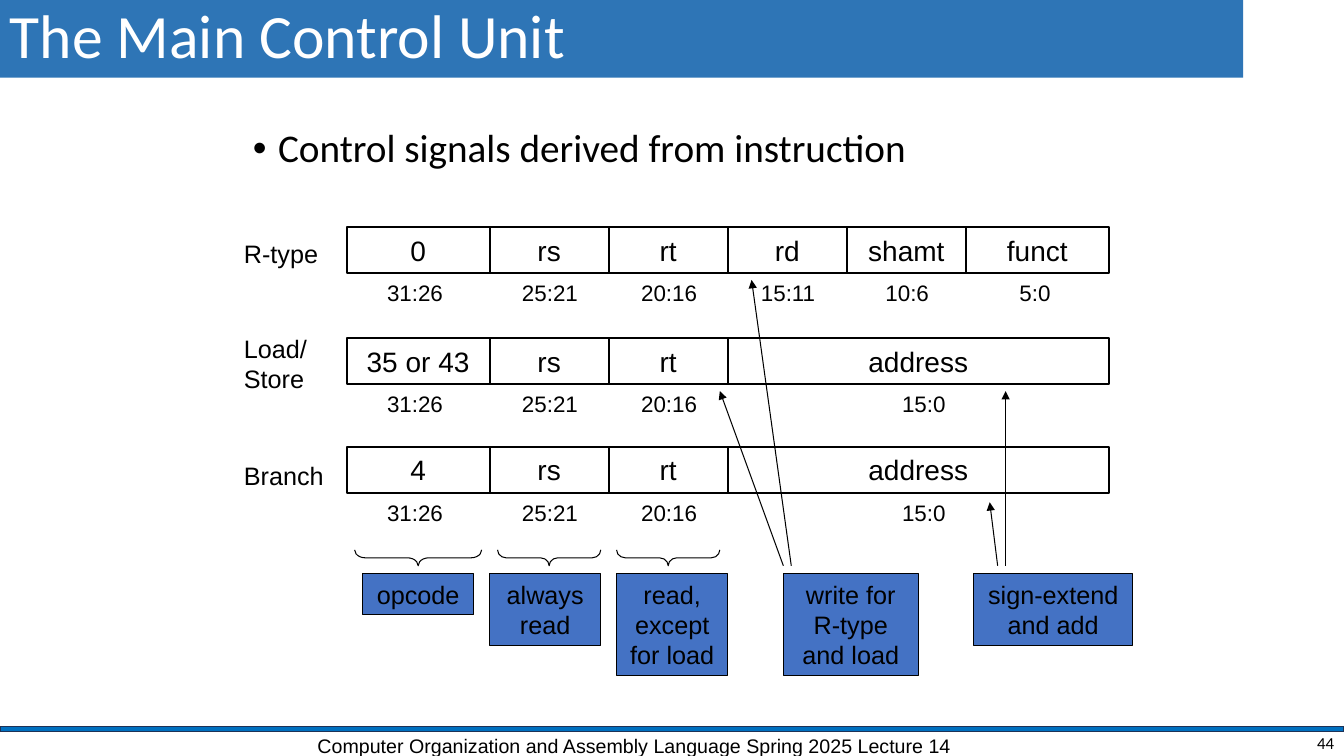
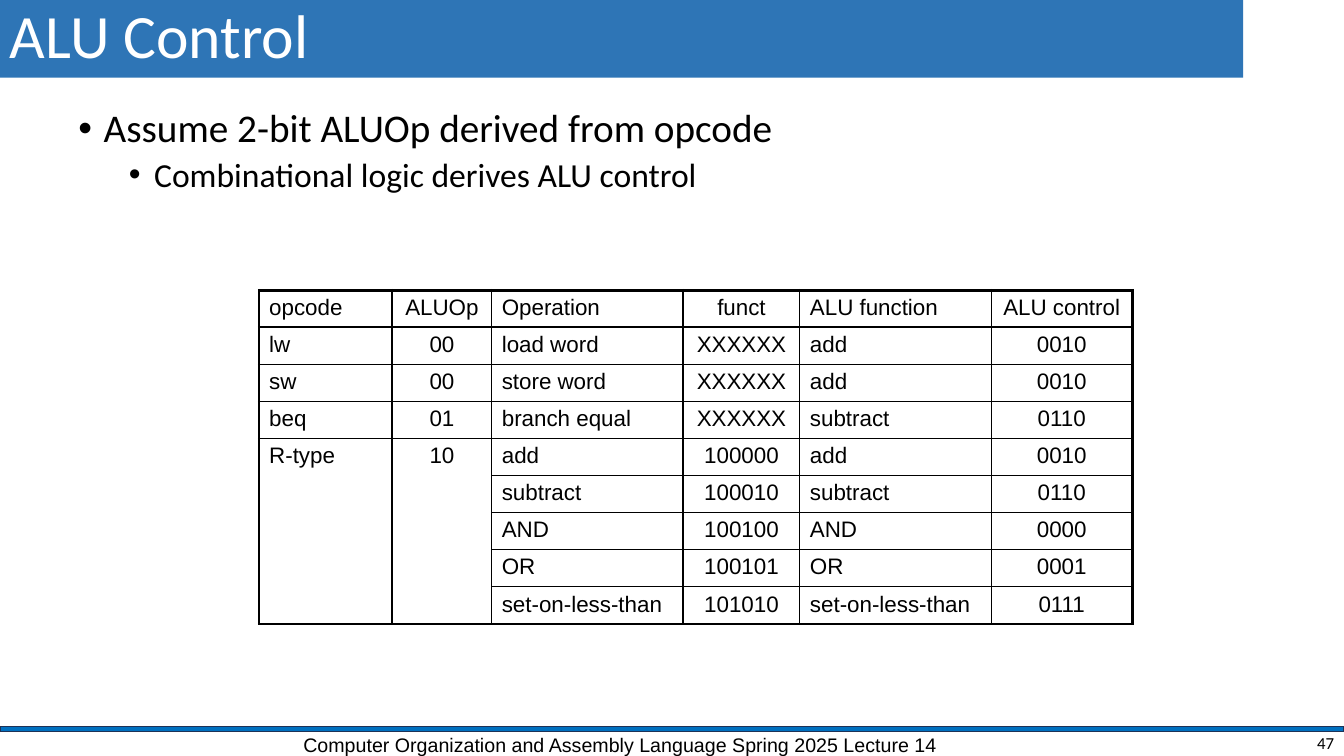
import dataclasses

import lxml.etree
import pptx
import pptx.dml.color
import pptx.enum.shapes
import pptx.enum.text
import pptx.oxml.ns
import pptx.util

Inches = pptx.util.Inches
Pt = pptx.util.Pt
Align = pptx.enum.text.PP_ALIGN
Anchor = pptx.enum.text.MSO_ANCHOR
Preset = pptx.enum.shapes.MSO_SHAPE
qn = pptx.oxml.ns.qn


@dataclasses.dataclass(frozen=True)
class Theme:
    black: str = "000000"
    white: str = "FFFFFF"
    title_band: str = "2E75B6"
    footer_band: str = "0070C0"
    footer_edge: str = "1E3256"
    tag: str = "4472C4"
    heading_font: str = "Calibri"
    label_font: str = "Arial"
    title_size: int = 44
    body_sizes: tuple = (28, 24)
    field_size: int = 20
    label_size: int = 18
    small_size: int = 16
    footer_size: int = 14
    number_size: int = 12
    thin: float = 0.75
    inner: float = 1
    medium: float = 1.5
    outer: float = 2.25


@dataclasses.dataclass(frozen=True)
class Box:
    left: float
    top: float
    width: float
    height: float
    columns: float = 100
    rows: float = 100

    def point(self, column, row):
        return (self.left + self.width * column / self.columns,
                self.top + self.height * row / self.rows)

    def region(self, column, row, across, down, columns=100, rows=100):
        return Box(*self.point(column, row), self.width * across / self.columns,
                   self.height * down / self.rows, columns, rows)

    def emu(self):
        return [Inches(length) for length in (self.left, self.top, self.width, self.height)]


THEME = Theme()
PAGE = Box(0, 0, 13.33, 7.5)
FOOTER = "Computer Organization and Assembly Language Spring 2025 Lecture 14"

FORMATS = [
    ("R-type", 0.8, 0, [("0", 18, "31:26"), ("rs", 15, "25:21"), ("rt", 15, "20:16"),
                        ("rd", 15, "15:11"), ("shamt", 15, "10:6"), ("funct", 18, "5:0")]),
    ("Load/\vStore", 12.8, 14, [("35 or 43", 18, "31:26"), ("rs", 15, "25:21"),
                                ("rt", 15, "20:16"), ("address", 48, "15:0")]),
    ("Branch", 28.8, 27.7, [("4", 18, "31:26"), ("rs", 15, "25:21"),
                            ("rt", 15, "20:16"), ("address", 48, "15:0")]),
]
BIT_SHIFTS = {"31:26": -0.4, "5:0": -0.3, "15:0": 0.7}
BRACES = [(1, 16, 0.67), (19, 13, 0.54), (34, 13, 0.54)]
TAGS = [("opcode", 2, 14, 1), ("always read", 18, 14, 2), ("read, except for load", 34, 14, 3),
        ("write for R-type and load", 55, 17, 3), ("sign-extend and add", 79, 20, 2)]
TAG_TOP = 43.7
ARROW_START = 42.7
ARROWS = [(55, 47, 20.7), (56, 51, 6.7), (82, 81, 34.7), (83, 83, 20.7)]

CONTROL_COLUMNS = [1.32, 0.99, 1.9, 1.16, 1.9, 1.4]
CONTROL_ROWS = [
    ("opcode", "ALUOp", "Operation", "funct", "ALU function", "ALU control"),
    ("lw", "00", "load word", "XXXXXX", "add", "0010"),
    ("sw", "00", "store word", "XXXXXX", "add", "0010"),
    ("beq", "01", "branch equal", "XXXXXX", "subtract", "0110"),
    ("R-type", "10", "add", "100000", "add", "0010"),
    ("", "", "subtract", "100010", "subtract", "0110"),
    ("", "", "AND", "100100", "AND", "0000"),
    ("", "", "OR", "100101", "OR", "0001"),
    ("", "", "set-on-less-than", "101010", "set-on-less-than", "0111"),
]
MERGED_FROM = 4


def rgb(color):
    return pptx.dml.color.RGBColor.from_string(color)


def style_paragraph(paragraph, size, font, color=THEME.black, align=Align.LEFT):
    paragraph.alignment = align
    for run in paragraph.runs:
        run.font.size = Pt(size)
        run.font.name = font
        run.font.color.rgb = rgb(color)


def write(text_frame, text, size, font, color=THEME.black, align=Align.LEFT, anchor=Anchor.TOP):
    text_frame.word_wrap = True
    text_frame.vertical_anchor = anchor
    text_frame.text = text
    for paragraph in text_frame.paragraphs:
        style_paragraph(paragraph, size, font, color, align)


def add_label(slide, box, text, size, font=THEME.label_font, **options):
    write(slide.shapes.add_textbox(*box.emu()).text_frame, text, size, font, **options)


def add_preset(slide, box, preset=Preset.RECTANGLE, fill=None, line=None, weight=THEME.thin):
    shape = slide.shapes.add_shape(preset, *box.emu())
    shape.shadow.inherit = False
    if fill:
        shape.fill.solid()
        shape.fill.fore_color.rgb = rgb(fill)
    else:
        shape.fill.background()
    if line:
        shape.line.color.rgb = rgb(line)
        shape.line.width = Pt(weight)
    else:
        shape.line.fill.background()
    return shape


def add_cell_box(slide, box, text, size, **look):
    shape = add_preset(slide, box, line=THEME.black, **look)
    write(shape.text_frame, text, size, THEME.label_font, align=Align.CENTER, anchor=Anchor.MIDDLE)


def add_arrow(slide, start, end):
    ends = [Inches(length) for length in (*start, *end)]
    arrow = slide.shapes.add_connector(pptx.enum.shapes.MSO_CONNECTOR.STRAIGHT, *ends)
    arrow.line.color.rgb = rgb(THEME.black)
    arrow.line.width = Pt(THEME.thin)
    properties = arrow._element.spPr
    lxml.etree.SubElement(properties.find(qn("a:ln")), qn("a:tailEnd"), type="triangle")
    lxml.etree.SubElement(properties, qn("a:effectLst"))


def add_frame(presentation, title, number, footer_box):
    slide = presentation.slides.add_slide(presentation.slide_layouts[6])
    add_preset(slide, PAGE.region(0, 96.13, 100, 0.67), fill=THEME.footer_band,
               line=THEME.footer_edge, weight=THEME.inner)
    add_label(slide, footer_box, FOOTER, THEME.footer_size)
    band = add_preset(slide, PAGE.region(0, 0, 92.5, 10.27), fill=THEME.title_band)
    write(band.text_frame, title, THEME.title_size, THEME.heading_font, THEME.white,
          anchor=Anchor.MIDDLE)
    band.text_frame.paragraphs[0].line_spacing = 0.9
    add_label(slide, PAGE.region(77.5, 96.53, 22.5, 3.33), number, THEME.number_size,
              THEME.heading_font, align=Align.RIGHT, anchor=Anchor.MIDDLE)
    return slide


def add_bullets(slide, box, lines):
    text_frame = slide.shapes.add_textbox(*box.emu()).text_frame
    text_frame.word_wrap = True
    text_frame.text = "\n".join(lines)
    for level, paragraph in enumerate(text_frame.paragraphs):
        style_paragraph(paragraph, THEME.body_sizes[level], THEME.heading_font)
        paragraph.level = level
        paragraph.line_spacing = 0.9
        paragraph.space_before = Pt(5 if level else 10)
        properties = paragraph._p.get_or_add_pPr()
        properties.set("marL", str(Inches(0.25 + 0.5 * level)))
        properties.set("indent", str(Inches(-0.25)))
        lxml.etree.SubElement(properties, qn("a:buFont"), typeface="Arial")
        lxml.etree.SubElement(properties, qn("a:buChar"), char="•")


def add_format(slide, grid, name, name_row, row, fields):
    add_label(slide, grid.region(-14.2, name_row, 13, 5), name, THEME.label_size)
    column = 0
    for text, across, bits in fields:
        add_cell_box(slide, grid.region(column, row, across, 5.8), text, THEME.field_size,
                     weight=THEME.medium)
        center = column + across / 2 + BIT_SHIFTS.get(bits, 0.1)
        add_label(slide, grid.region(center - 5, row + 6, 10, 4.7), bits, THEME.small_size,
                  align=Align.CENTER)
        column += across


def add_brace(slide, grid, column, across, curve):
    center = column + across / 2
    middle = ARROW_START - 1
    box = grid.region(center - 1, middle - across / 2, 2, across)
    brace = add_preset(slide, box, Preset.LEFT_BRACE, line=THEME.black)
    brace.adjustments[0] = curve
    brace.rotation = 270


def add_instruction_diagram(slide, grid):
    for instruction in FORMATS:
        add_format(slide, grid, *instruction)
    for brace in BRACES:
        add_brace(slide, grid, *brace)
    for text, column, across, lines in TAGS:
        box = grid.region(column, TAG_TOP, across, 1.4 + 3.8 * lines)
        add_cell_box(slide, box, text, THEME.label_size, fill=THEME.tag)
    for start, end, row in ARROWS:
        add_arrow(slide, grid.point(start, ARROW_START), grid.point(end, row))


def set_borders(cell, weights):
    properties = cell._tc.get_or_add_tcPr()
    for position, (side, weight) in enumerate(weights.items()):
        line = lxml.etree.Element(qn("a:ln" + side), w=str(Pt(weight)))
        fill = lxml.etree.SubElement(line, qn("a:solidFill"))
        lxml.etree.SubElement(fill, qn("a:srgbClr"), val=THEME.black)
        properties.insert(position, line)


def border_weights(cell, row, column):
    last_row, last_column = len(CONTROL_ROWS) - 1, len(CONTROL_COLUMNS) - 1
    bottom_row = row + cell.span_height - 1 if cell.is_merge_origin else row
    weights = {
        "L": THEME.outer if column == 0 else THEME.inner,
        "R": THEME.outer if column == last_column else THEME.inner,
        "T": {0: THEME.outer, 1: THEME.medium}.get(row, THEME.inner),
        "B": {0: THEME.medium, last_row: THEME.outer}.get(bottom_row, THEME.inner),
    }
    if cell.is_spanned:
        del weights["T"]
        if row < last_row:
            del weights["B"]
    return weights


def add_control_table(slide, box):
    row_count, column_count = len(CONTROL_ROWS), len(CONTROL_COLUMNS)
    table = slide.shapes.add_table(row_count, column_count, *box.emu()).table
    table.first_row = table.horz_banding = False
    for column, share in zip(table.columns, CONTROL_COLUMNS):
        column.width = Inches(box.width * share / sum(CONTROL_COLUMNS))
    for column in range(2):
        table.cell(MERGED_FROM, column).merge(table.cell(row_count - 1, column))
    for row, texts in enumerate(CONTROL_ROWS):
        table.rows[row].height = Inches(box.height / row_count)
        for column, text in enumerate(texts):
            cell = table.cell(row, column)
            cell.fill.background()
            set_borders(cell, border_weights(cell, row, column))
            cell.text_frame.text = text
            style_paragraph(cell.text_frame.paragraphs[0], THEME.small_size, THEME.label_font,
                            align=Align.CENTER if column % 2 else Align.LEFT)


def build_main_control(presentation):
    slide = add_frame(presentation, "The Main Control Unit", "44",
                      PAGE.region(22.88, 96.4, 49.58, 3.87))
    add_bullets(slide, PAGE.region(18.08, 16.4, 67.88, 10.13),
                ["Control signals derived from instruction"])
    add_instruction_diagram(slide, PAGE.region(25.8, 30, 56.7, 58.8, columns=96, rows=56))


def build_alu_control(presentation):
    slide = add_frame(presentation, "ALU Control", "47", PAGE.region(21.83, 96.27, 50.7, 3.33))
    add_bullets(slide, PAGE.region(5.1, 13.73, 89.93, 76.27),
                ["Assume 2-bit ALUOp derived from opcode",
                 "Combinational logic derives ALU control"])
    add_control_table(slide, PAGE.region(19.28, 38.4, 64.97, 44.13))


def main():
    presentation = pptx.Presentation()
    presentation.slide_width = Inches(PAGE.width)
    presentation.slide_height = Inches(PAGE.height)
    build_main_control(presentation)
    build_alu_control(presentation)
    presentation.save("out.pptx")


if __name__ == "__main__":
    main()
